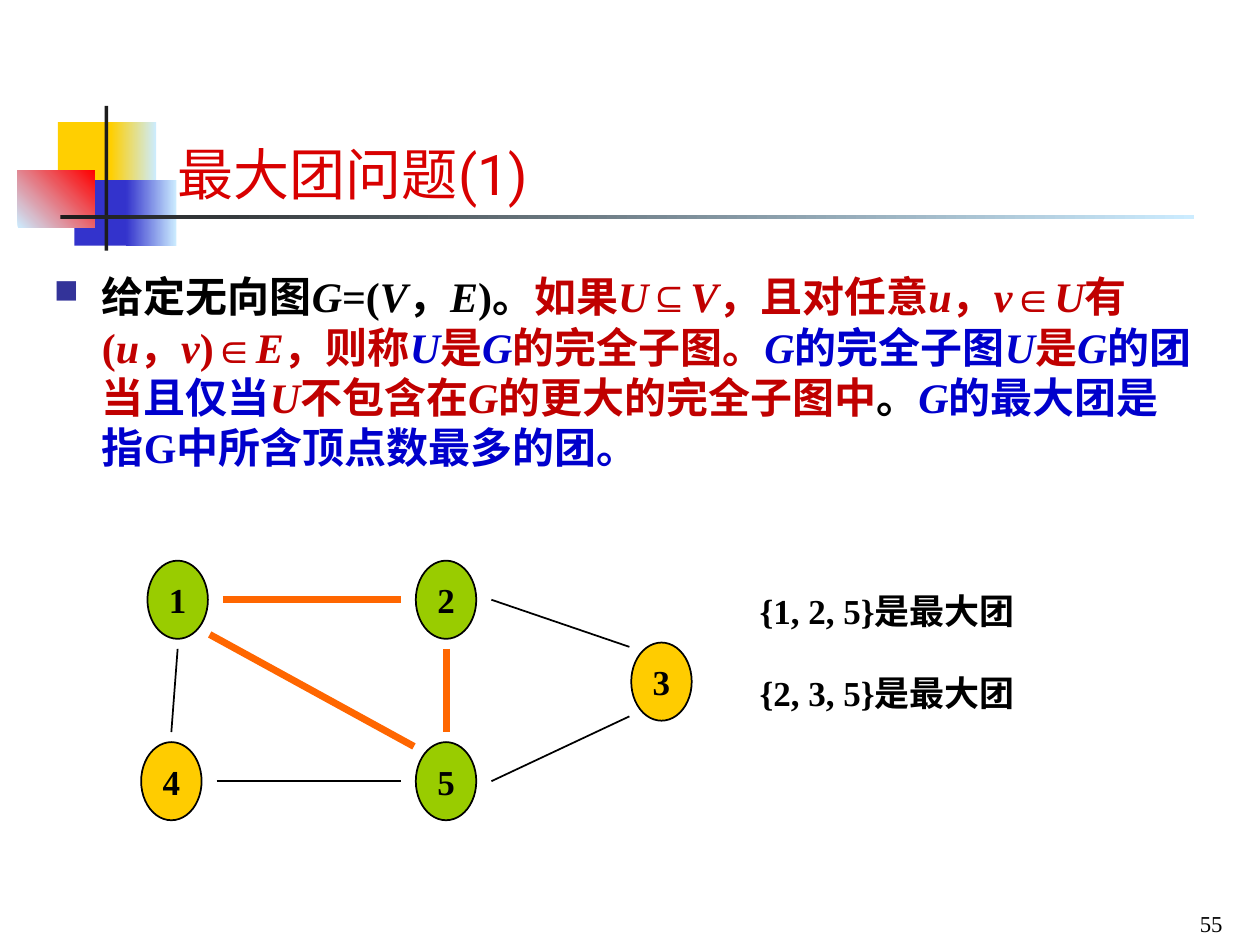
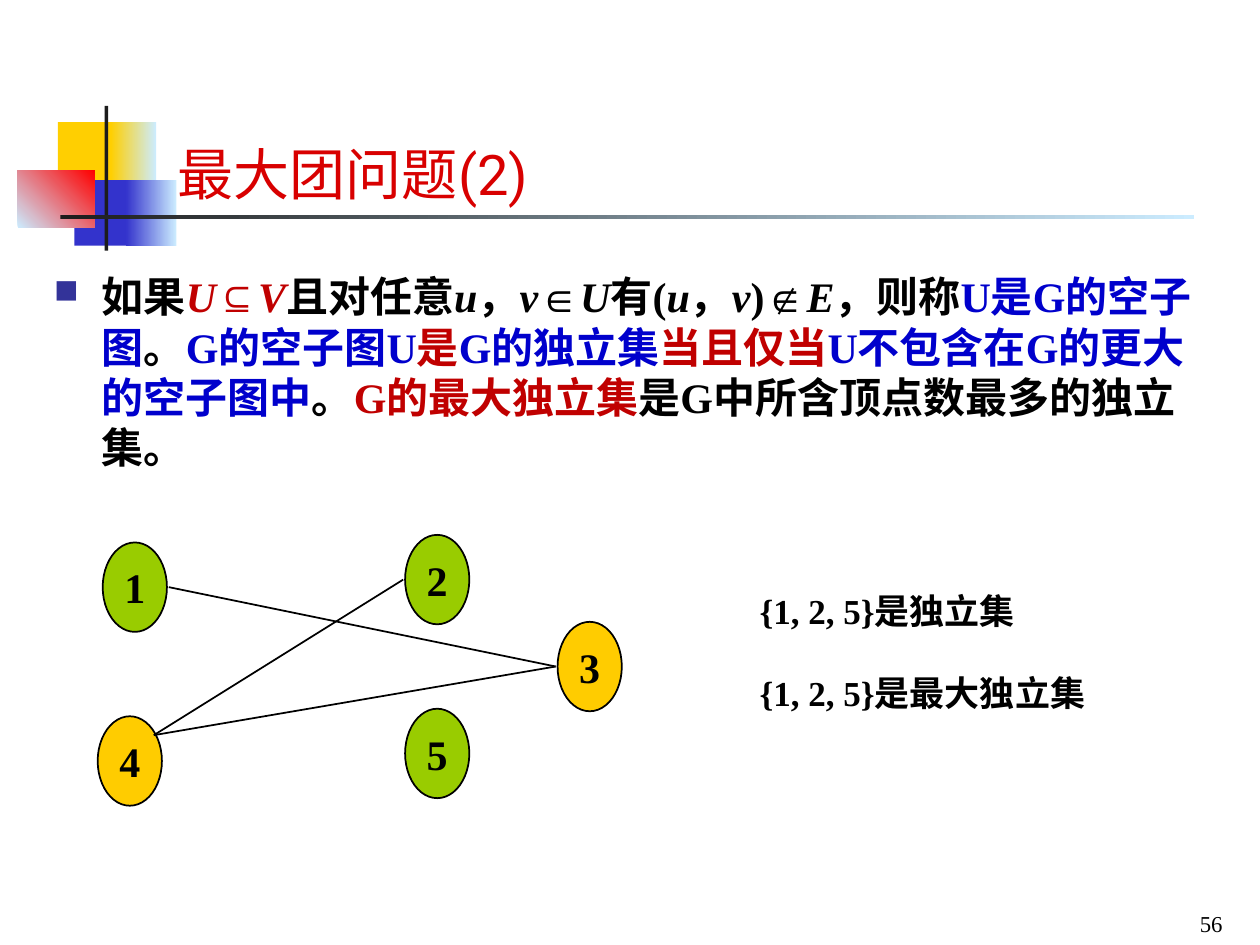
from itertools import groupby
from math import cos, radians, sin

from lxml import etree
from pptx import Presentation
from pptx.dml.color import RGBColor
from pptx.enum.shapes import MSO_CONNECTOR as Connector, MSO_SHAPE as Shape
from pptx.enum.text import MSO_ANCHOR as Anchor, MSO_AUTO_SIZE as AutoSize, PP_ALIGN as Align
from pptx.oxml.ns import qn
from pptx.util import Inches, Pt

COLORS = {
    "black": "000000", "ink": "1C1C1C", "title": "D80000", "red": "C00000",
    "blue": "0000CC", "bullet": "333399", "yellow band": "FFCF01",
    "blue band": "3333CC", "pale": "CCECFF", "bright red": "FF0000",
    "green": "99CC00", "gold": "FFCC00", "orange": "FF6600",
}
SERIF, SANS, SYMBOL_FONT = "Times New Roman", "Roboto", "Arial"
SYMBOLS = "⊆∈∉"
# Angles of the connection sites of a node, clockwise from the right
SITES = {"E": 0, "SE": 45, "S": 90, "W": 180, "NW": 225, "N": 270, "NE": 315, "SW": 135}


def color(name):
    return RGBColor.from_string(COLORS[name])


def write(paragraph, text, size=20, font=SERIF, fill="black", bold=False, align=Align.LEFT):
    """Write text into a paragraph; *stars* mark italics, set symbols get their own font."""
    paragraph.alignment = align
    for index, part in enumerate(text.split("*")):
        for is_symbol, letters in groupby(part, lambda letter: letter in SYMBOLS):
            run = paragraph.add_run()
            run.text = "".join(letters)
            run.font.name = SYMBOL_FONT if is_symbol else font
            run.font.size = Pt(size)
            run.font.bold = bold
            run.font.italic = index % 2 == 1
            run.font.color.rgb = color(fill)


class Deck:
    def __init__(self):
        self.presentation = Presentation()
        self.presentation.slide_width = Inches(10)
        self.presentation.slide_height = Inches(7.5)
        self.slide = None

    def new_slide(self, title, number):
        self.slide = self.presentation.slides.add_slide(self.presentation.slide_layouts[5])
        self.bands()
        # Title
        shape = self.slide.shapes.title
        shape.left, shape.top = Inches(1.31), Inches(0.6)
        shape.width, shape.height = Inches(8.42), Inches(1.09)
        shape.text_frame.auto_size = AutoSize.NONE
        shape.text_frame.vertical_anchor = Anchor.BOTTOM
        write(shape.text_frame.paragraphs[0], title, size=32, font=SANS, fill="title")
        # Slide number
        frame = self.text_box(7.89, 7.14, 1.91, 0.37, Anchor.MIDDLE)
        write(frame.paragraphs[0], str(number), size=13, align=Align.RIGHT)

    def shape(self, kind, left, top, width, height, fill, fade=None, angle=0):
        shape = self.slide.shapes.add_shape(
            kind, Inches(left), Inches(top), Inches(width), Inches(height))
        shape.shadow.inherit = False
        shape.line.fill.background()
        if fade:
            shape.fill.gradient()
            shape.fill.gradient_angle = angle
            for stop, name in zip(shape.fill.gradient_stops, (fill, fade)):
                stop.color.rgb = color(name)
        else:
            shape.fill.solid()
            shape.fill.fore_color.rgb = color(fill)
        return shape

    def bands(self):
        for band in (
            (0.46, 0.97, 0.48, 0.52, "yellow band"),
            (0.88, 0.97, 0.36, 0.52, "yellow band", "pale"),
            (0.59, 1.43, 0.46, 0.52, "blue band"),
            (1, 1.43, 0.4, 0.52, "blue band", "pale"),
            (0.14, 1.35, 0.61, 0.46, "pale", "bright red", 45),
            (0.83, 0.84, 0.03, 1.15, "ink"),
            (0.48, 1.71, 9, 0.03, "ink", "pale"),
        ):
            self.shape(Shape.RECTANGLE, *band)

    def text_box(self, left, top, width, height, anchor=Anchor.TOP):
        frame = self.slide.shapes.add_textbox(
            Inches(left), Inches(top), Inches(width), Inches(height)).text_frame
        frame.word_wrap = True
        frame.vertical_anchor = anchor
        return frame

    def definition(self, pieces):
        paragraph = self.text_box(0.33, 2.1, 9.24, 1.7).paragraphs[0]
        properties = paragraph._p.get_or_add_pPr()
        properties.set("marL", str(Inches(0.38)))
        properties.set("indent", str(-Inches(0.38)))
        bullet_color = etree.SubElement(properties, qn("a:buClr"))
        etree.SubElement(bullet_color, qn("a:srgbClr"), val=COLORS["bullet"])
        etree.SubElement(properties, qn("a:buSzPct"), val="80000")
        etree.SubElement(properties, qn("a:buChar"), char="■")
        for fill, text in pieces:
            write(paragraph, text, size=24, fill=fill, bold=True)

    def answers(self, first, second):
        frame = self.text_box(5.93, 4.63, 3, 1.44)
        write(frame.paragraphs[0], first, bold=True)
        paragraph = frame.add_paragraph()
        paragraph.space_before = Pt(23)
        write(paragraph, second, bold=True)

    def node(self, label, center, size, fill, text_size):
        (x, y), (width, height) = center, size
        shape = self.shape(Shape.OVAL, x - width / 2, y - height / 2, width, height, fill)
        shape.line.color.rgb = color("black")
        shape.line.width = Pt(1)
        frame = shape.text_frame
        frame.word_wrap = False
        frame.vertical_anchor = Anchor.MIDDLE
        write(frame.paragraphs[0], label, size=text_size, bold=True, align=Align.CENTER)

    def edge(self, start, end, strong=False):
        line = self.slide.shapes.add_connector(
            Connector.STRAIGHT, *(Inches(value) for value in (*start, *end)))
        line.line.color.rgb = color("orange" if strong else "black")
        line.line.width = Pt(4 if strong else 1)
        etree.SubElement(line._element.spPr, qn("a:effectLst"))

    def graph(self, centers, size, reach, text_size, edges, strong=()):
        """Draw the nodes, and edges between sites on an ellipse of half-axes reach."""
        def site(label, side):
            (x, y), angle = centers[label], radians(SITES[side])
            return x + reach[0] * cos(angle), y + reach[1] * sin(angle)

        for label, center in centers.items():
            self.node(label, center, size, "green" if label in "125" else "gold", text_size)
        for start, start_side, end, end_side in edges:
            self.edge(site(start, start_side), site(end, end_side), start + end in strong)


def main():
    deck = Deck()

    # Cliques
    deck.new_slide("最大团问题(1)", 55)
    deck.definition([
        ("black", "给定无向图*G*=(*V*，*E*)。"),
        ("red", "如果*U*⊆*V*，且对任意*u*，*v*∈*U*有(*u*，*v*)∈*E*，则称"),
        ("blue", "*U*"), ("red", "是"), ("blue", "*G*"), ("red", "的完全子图。"),
        ("blue", "*G*的完全子图*U*"), ("red", "是"), ("blue", "*G*的团"),
        ("red", "当"), ("blue", "且仅当"),
        ("red", "*U*不包含在*G*的更大的完全子图中"), ("black", "。"),
        ("blue", "*G*的最大团是指G中所含顶点数最多的团。"),
    ])
    deck.graph(
        {"1": (1.41, 4.76), "2": (3.54, 4.76), "4": (1.36, 6.2),
         "5": (3.54, 6.2), "3": (5.25, 5.41)},
        size=(0.48, 0.62), reach=(0.36, 0.39), text_size=20,
        edges=["1E2W", "1S4N", "4E5W", "2S5N", ("1", "SE", "5", "NW"),
               ("2", "E", "3", "NW"), ("5", "E", "3", "SW")],
        strong=("12", "25", "15"))
    deck.answers("{1, 2, 5}是最大团", "{2, 3, 5}是最大团")

    # Independent sets
    deck.new_slide("最大团问题(2)", 56)
    deck.definition([
        ("black", "如果"), ("red", "*U*⊆*V*"),
        ("black", "且对任意*u*，*v*∈*U*有(*u*，*v*)∉*E*，则称"),
        ("blue", "U是G的空子图"), ("black", "。"), ("blue", "G的空子图U"),
        ("red", "是"), ("blue", "G的独立集"), ("red", "当且仅当"),
        ("blue", "U不包含在G的更大的空子图中"), ("black", "。"),
        ("red", "G的最大独立集"), ("black", "是G中所含顶点数最多的独立集。"),
    ])
    deck.graph(
        {"1": (1.07, 4.66), "2": (3.47, 4.6), "4": (1.03, 6.04),
         "5": (3.47, 5.98), "3": (4.68, 5.29)},
        size=(0.51, 0.71), reach=(0.27, 0.29), text_size=24,
        edges=["1E3W", ("4", "NE", "3", "W"), ("4", "NE", "2", "W")])
    deck.answers("{1, 2, 5}是独立集", "{1, 2, 5}是最大独立集")

    deck.presentation.save("out.pptx")


if __name__ == "__main__":
    main()
